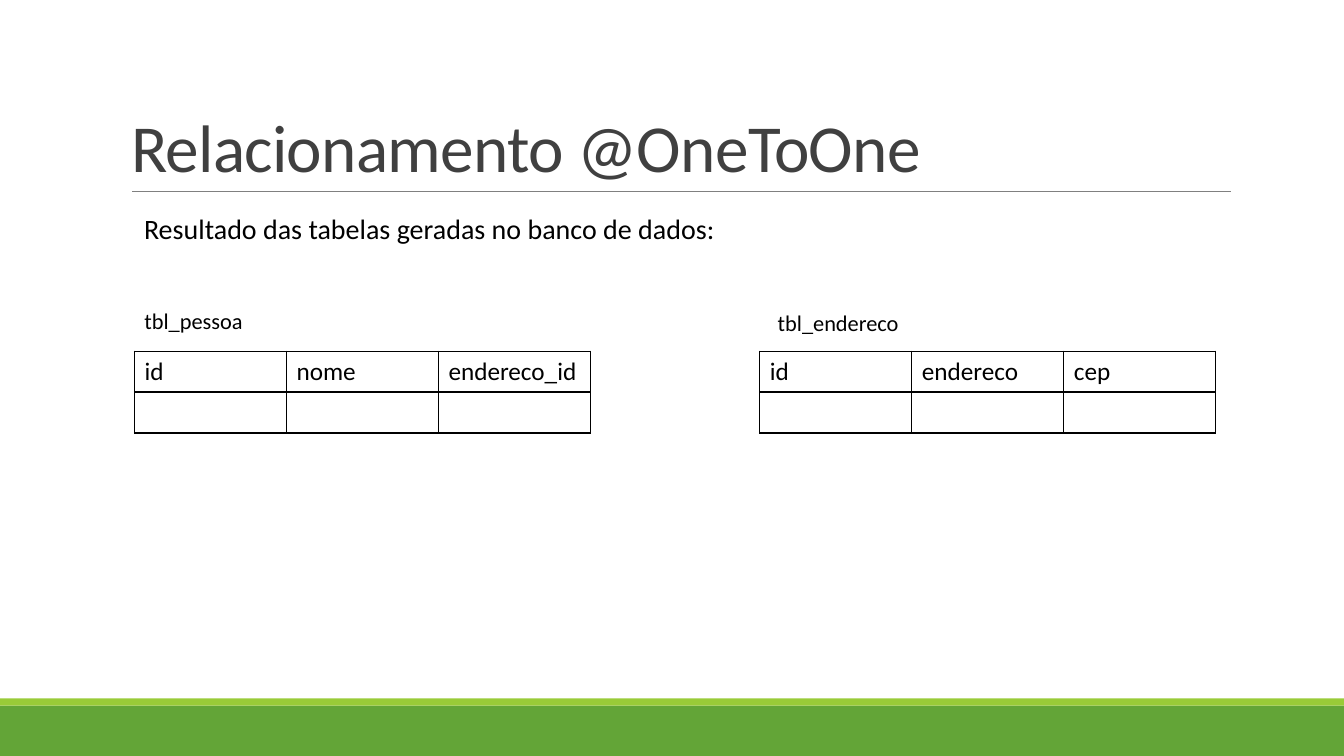
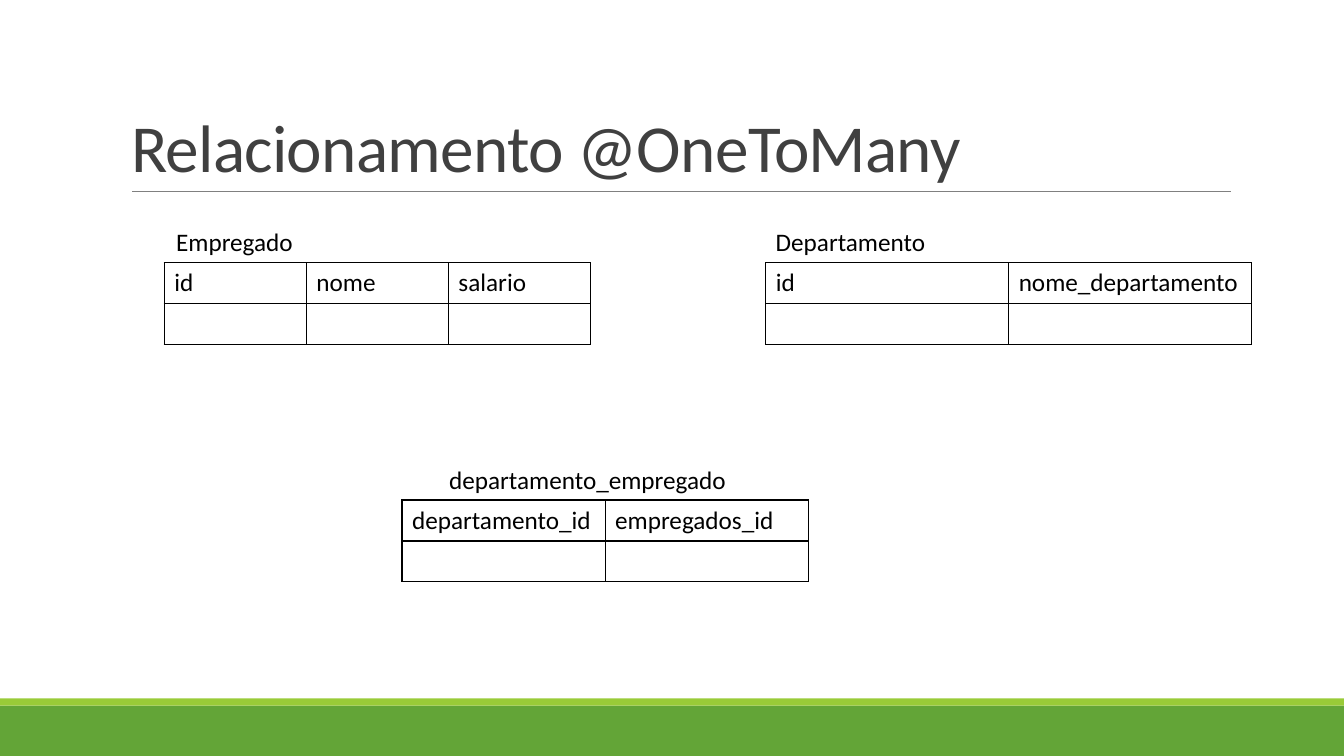
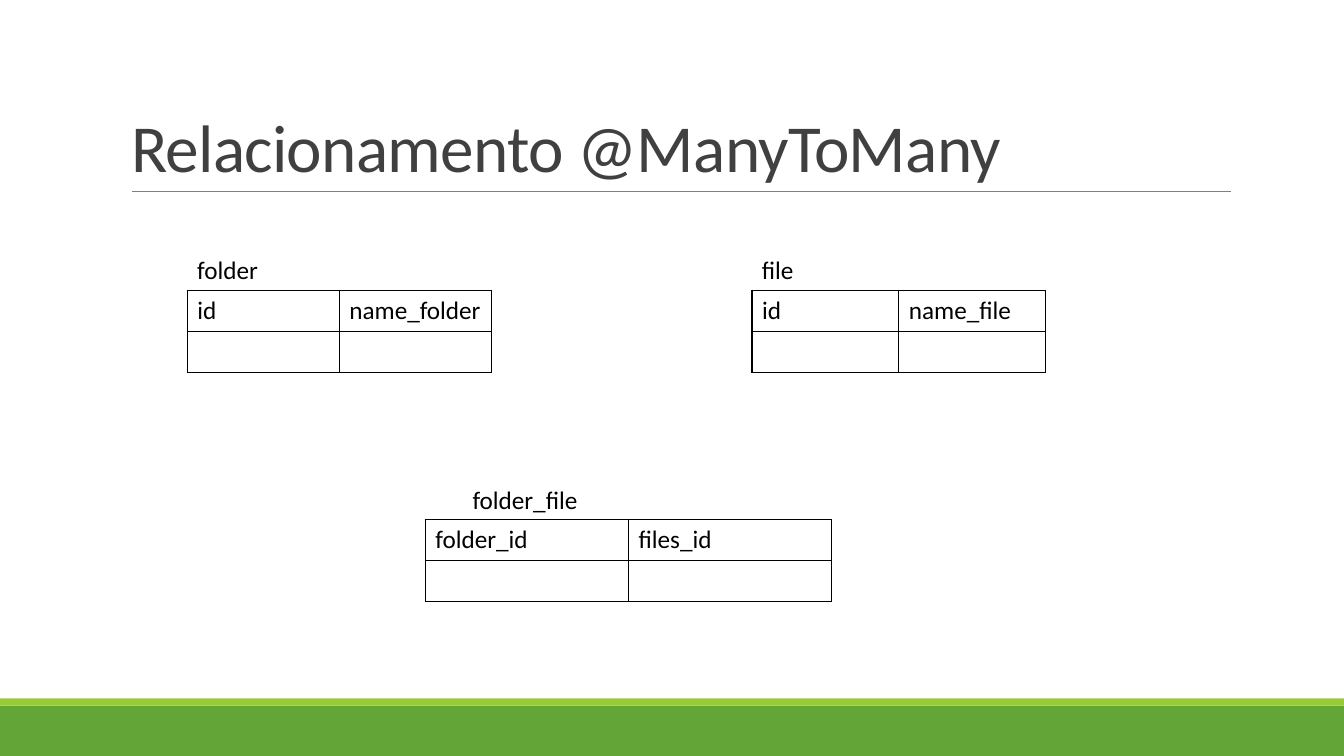
"""Build three slides on entity relationships and the tables they generate."""
from dataclasses import dataclass

from lxml.etree import SubElement
from pptx import Presentation
from pptx.dml.color import RGBColor
from pptx.enum.shapes import MSO_CONNECTOR, MSO_SHAPE
from pptx.enum.text import MSO_ANCHOR, MSO_AUTO_SIZE, PP_ALIGN
from pptx.oxml.ns import qn
from pptx.util import Cm, Pt


@dataclass(frozen=True)
class Theme:
    font: str = "Calibri"
    green: str = "63A537"
    lime: str = "99CB38"
    rule: str = "808080"
    head: str = "404040"
    ink: str = "000000"
    paper: str = "FFFFFF"
    title: int = 48
    lead: int = 20
    body: int = 18
    small: int = 16


class Deck:
    def __init__(self, theme):
        self.theme = theme
        self.file = Presentation()
        self.file.slide_width = Cm(33.87)
        self.file.slide_height = Cm(19.05)
        self.slide = None

    def style(self, para, size, color):
        font = para.font
        font.name = self.theme.font
        font.size = Pt(size)
        font.bold = False
        font.color.rgb = RGBColor.from_string(color)

    def page(self, title):
        self.slide = self.file.slides.add_slide(self.file.slide_layouts[5])
        self.band(17.78, 1.27, self.theme.green)
        self.band(17.6, 0.18, self.theme.lime)
        self.rule()
        self.title(title)

    def band(self, top, height, color):
        band = self.slide.shapes.add_shape(
            MSO_SHAPE.RECTANGLE, 0, Cm(top), self.file.slide_width, Cm(height))
        band.shadow.inherit = False
        band.fill.solid()
        band.fill.fore_color.rgb = RGBColor.from_string(color)
        band.line.fill.background()

    def rule(self):
        line = self.slide.shapes.add_connector(
            MSO_CONNECTOR.STRAIGHT, Cm(3.33), Cm(4.83), Cm(31.01), Cm(4.83))
        line.line.color.rgb = RGBColor.from_string(self.theme.rule)
        line.line.width = Pt(0.5)
        SubElement(line._element.spPr, qn("a:effectLst"))

    def title(self, text):
        shape = self.slide.shapes.title
        shape.left, shape.top = Cm(3.05), Cm(0.79)
        shape.width, shape.height = Cm(27.94), Cm(4.04)
        frame = shape.text_frame
        frame.text = text
        frame.auto_size = MSO_AUTO_SIZE.NONE
        frame.vertical_anchor = MSO_ANCHOR.BOTTOM
        para = frame.paragraphs[0]
        para.alignment = PP_ALIGN.LEFT
        para.line_spacing = 0.85
        self.style(para, self.theme.title, self.theme.head)
        para.runs[0]._r.get_or_add_rPr().set("spc", "-50")

    def label(self, text, left, top, width, size, height=1.03):
        box = self.slide.shapes.add_textbox(
            Cm(left), Cm(top), Cm(width), Cm(height))
        frame = box.text_frame
        frame.word_wrap = False
        frame.text = text
        self.style(frame.paragraphs[0], size, self.theme.ink)

    def border(self, cell):
        props = cell._tc.get_or_add_tcPr()
        for side in ("lnL", "lnR", "lnT", "lnB"):
            line = SubElement(props, qn(f"a:{side}"), w=str(Pt(1)))
            fill = SubElement(line, qn("a:solidFill"))
            SubElement(fill, qn("a:srgbClr"), val=self.theme.ink)

    def table(self, fields, left, top, step):
        height = 1.03
        table = self.slide.shapes.add_table(
            2, len(fields), Cm(left), Cm(top),
            Cm(step * len(fields)), Cm(2 * height)).table
        table.first_row = False
        table.horz_banding = False
        for row in table.rows:
            row.height = Cm(height)
        for index, field in enumerate(fields):
            table.columns[index].width = Cm(step)
            table.cell(0, index).text = field
        for cell in table.iter_cells():
            self.border(cell)
            cell.fill.solid()
            cell.fill.fore_color.rgb = RGBColor.from_string(self.theme.paper)
            self.style(cell.text_frame.paragraphs[0],
                       self.theme.body, self.theme.ink)

    def entity(self, name, fields, left, top, step, width,
               shift=0, gap=1.03, size=None):
        self.table(fields, left, top, step)
        self.label(name, left + shift, top - gap, width,
                   size or self.theme.body)


theme = Theme()
deck = Deck(theme)

deck.page("Relacionamento @OneToOne")
deck.label("Resultado das tabelas geradas no banco de dados:",
           3.38, 5.21, 15.04, theme.lead, height=1.88)
deck.entity("tbl_pessoa", ("id", "nome", "endereco_id"),
            3.39, 8.85, 3.83, 3.02, gap=1.24, size=theme.small)
deck.entity("tbl_endereco", ("id", "endereco", "cep"),
            19.15, 8.85, 3.83, 3.61, shift=0.2, gap=1.18, size=theme.small)

deck.page("Relacionamento @OneToMany")
deck.entity("Empregado", ("id", "nome", "salario"),
            4.14, 6.62, 3.58, 3.48, shift=0.05)
deck.entity("Departamento", ("id", "nome_departamento"),
            19.3, 6.62, 6.12, 4.32)
deck.entity("departamento_empregado", ("departamento_id", "empregados_id"),
            10.13, 12.6, 5.12, 7.57, shift=0.94)

deck.page("Relacionamento @ManyToMany")
deck.entity("folder", ("id", "name_folder"), 4.72, 7.32, 3.83, 2.06)
deck.entity("file", ("id", "name_file"), 18.95, 7.32, 3.7, 1.32)
deck.entity("folder_file", ("folder_id", "files_id"),
            10.72, 13.1, 5.12, 3.2, shift=0.94)

deck.file.save("out.pptx")
